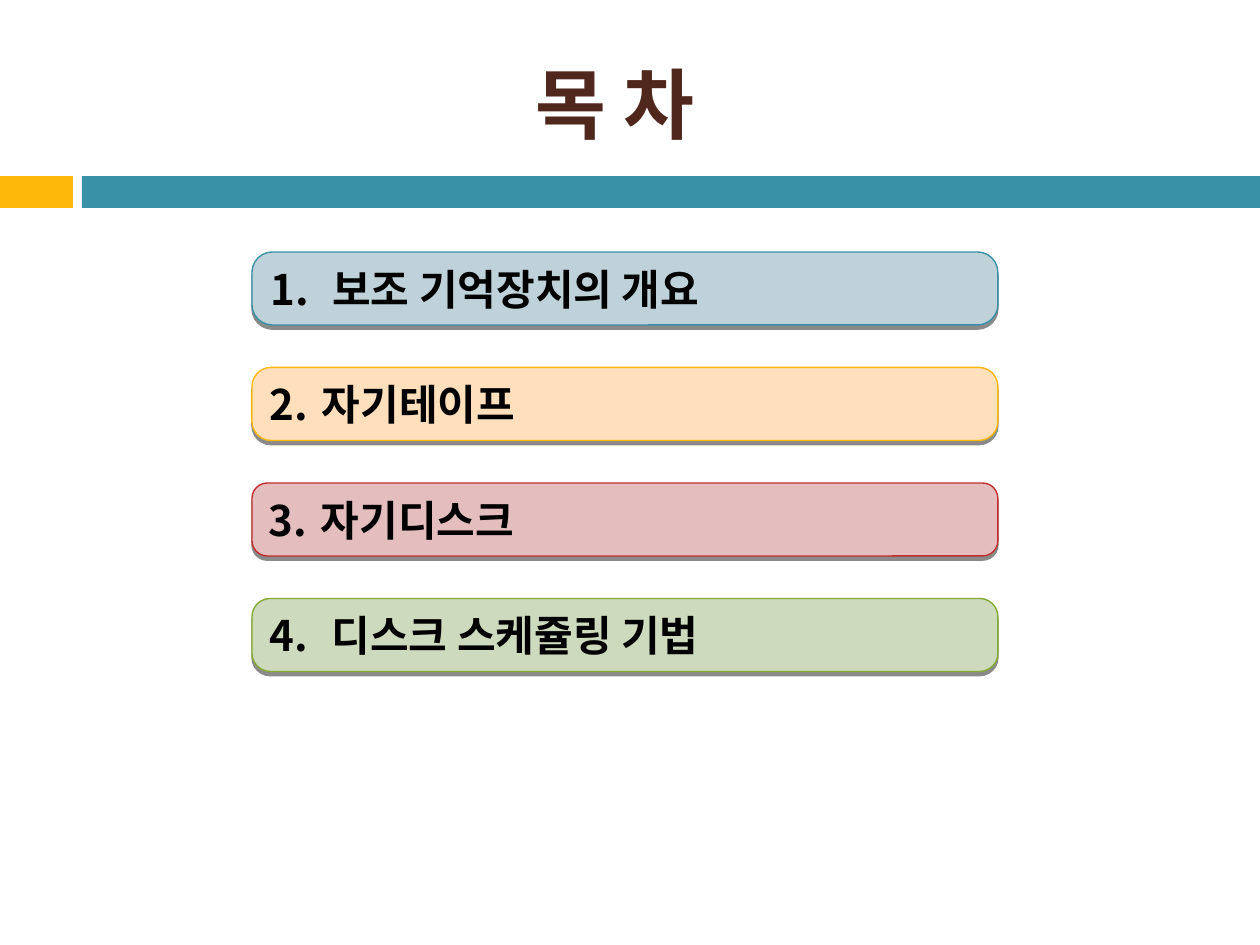
from dataclasses import dataclass

import pptx
import pptx.dml.color
import pptx.enum.shapes
import pptx.enum.text
import pptx.oxml.ns
import pptx.util
from lxml import etree

EMU_PER_PX = 914400 / 126
FONT = "Noto Sans CJK KR"
SHAPES = pptx.enum.shapes.MSO_SHAPE
ALIGN = pptx.enum.text.PP_ALIGN

ITEM_LEFT, ITEM_TOP, ITEM_WIDTH, ITEM_HEIGHT = 252, 252, 746, 73
ITEM_PITCH = 115.5


@dataclass
class Bar:
    left: int
    width: int
    fill: str


@dataclass
class Item:
    number: str
    label: str
    label_indent: int
    fill: str
    line: str
    rounding: float


BARS = [Bar(0, 73, "FEB80A"), Bar(82, 1178, "3891A7")]
ITEMS = [
    Item("1.", "보조 기억장치의 개요", 62, "BFD2D9", "3891A7", 0.28),
    Item("2.", "자기테이프", 52, "FFDFBC", "FEB80A", 0.26),
    Item("3.", "자기디스크", 52, "E4BEBE", "C32D2E", 0.21),
    Item("4.", "디스크 스케쥴링 기법", 62, "CEDABE", "84AA33", 0.25),
]


def px(value: float) -> pptx.util.Emu:
    return pptx.util.Emu(round(value * EMU_PER_PX))


def color(value: str) -> pptx.dml.color.RGBColor:
    return pptx.dml.color.RGBColor.from_string(value)


def add_element(parent, tag: str, **attributes: str):
    return etree.SubElement(parent, pptx.oxml.ns.qn(tag), **attributes)


def write_text(shape, text: str, *, size: int, fill: str, align, tab: int = 0) -> None:
    """Write one bold paragraph, with an optional tab stop in px."""
    frame = shape.text_frame
    frame.word_wrap = True
    frame.vertical_anchor = pptx.enum.text.MSO_ANCHOR.MIDDLE
    para = frame.paragraphs[0]
    para.alignment = align
    if tab:
        stops = add_element(para._p.get_or_add_pPr(), "a:tabLst")
        add_element(stops, "a:tab", pos=str(px(tab)), algn="l")
    span = para.add_run()
    span.text = text
    span.font.name = FONT
    span.font.size = pptx.util.Pt(size)
    span.font.bold = True
    span.font.color.rgb = color(fill)
    add_element(span._r.get_or_add_rPr(), "a:ea", typeface=FONT)


def add_bar(page, bar: Bar) -> None:
    shape = page.shapes.add_shape(SHAPES.RECTANGLE, px(bar.left), px(176), px(bar.width), px(32))
    shape.shadow.inherit = False
    shape.fill.solid()
    shape.fill.fore_color.rgb = color(bar.fill)
    shape.line.fill.background()


def add_drop_shadow(shape) -> None:
    shape.shadow.inherit = False
    effects = shape._element.spPr.find(pptx.oxml.ns.qn("a:effectLst"))
    shadow = add_element(effects, "a:outerShdw", blurRad="0", dist=str(pptx.util.Pt(2.4)),
                         dir="5400000", algn="ctr", rotWithShape="0")
    black = add_element(shadow, "a:srgbClr", val="000000")
    add_element(black, "a:alpha", val="45000")


def add_item(page, item: Item, top: float) -> None:
    box = page.shapes.add_shape(SHAPES.ROUNDED_RECTANGLE, px(ITEM_LEFT), px(top),
                                px(ITEM_WIDTH), px(ITEM_HEIGHT))
    box.adjustments[0] = item.rounding
    box.fill.solid()
    box.fill.fore_color.rgb = color(item.fill)
    box.line.color.rgb = color(item.line)
    box.line.width = pptx.util.Pt(0.79)
    add_drop_shadow(box)
    write_text(box, f"{item.number}\t{item.label}", size=24, fill="000000",
               align=ALIGN.LEFT, tab=item.label_indent)


def main() -> None:
    deck = pptx.Presentation()
    deck.slide_width, deck.slide_height = px(1260), px(945)
    page = deck.slides.add_slide(deck.slide_layouts[5])
    for bar in BARS:
        add_bar(page, bar)
    title = page.shapes.title
    title.left, title.top, title.width, title.height = px(53), px(35), px(1124), px(136)
    write_text(title, "목 차", size=44, fill="4F271C", align=ALIGN.CENTER)
    for index, item in enumerate(ITEMS):
        add_item(page, item, ITEM_TOP + index * ITEM_PITCH)
    deck.save("out.pptx")


if __name__ == "__main__":
    main()
